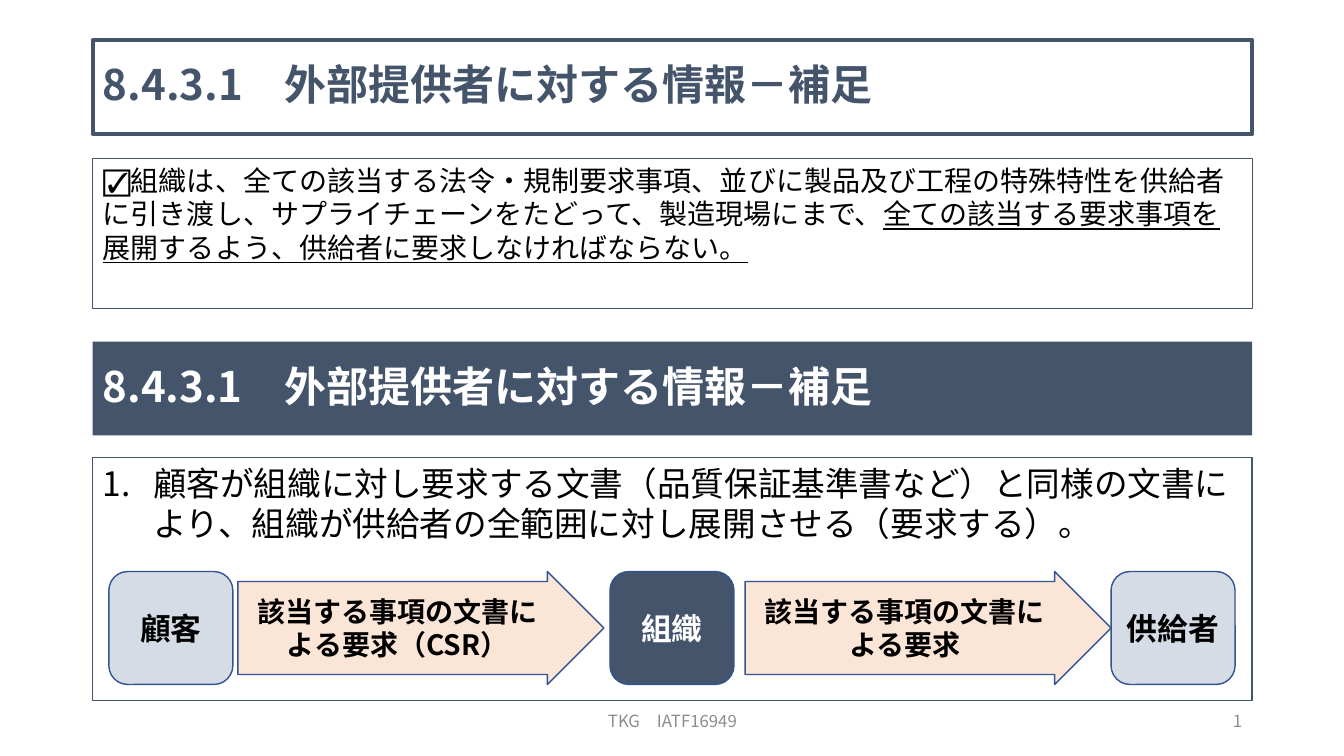
from lxml.etree import SubElement
from pptx import Presentation
from pptx.dml.color import RGBColor
from pptx.enum.shapes import MSO_SHAPE
from pptx.enum.text import MSO_ANCHOR, MSO_AUTO_SIZE, PP_ALIGN
from pptx.oxml.ns import qn
from pptx.util import Inches, Pt

FONT = "Noto Sans CJK JP"
NAVY = RGBColor(0x44, 0x54, 0x6A)
BLUE = RGBColor(0x32, 0x54, 0x91)
PALE = RGBColor(0xD6, 0xDC, 0xE5)
PEACH = RGBColor(0xFB, 0xE5, 0xD6)
GRAY = RGBColor(0x8C, 0x8C, 0x8C)
WHITE = RGBColor(0xFF, 0xFF, 0xFF)
BLACK = RGBColor(0x00, 0x00, 0x00)

LEFT, WIDTH = 0.92, 11.5
HEADING_H = 0.93
FLOW_TOP, FLOW_H = 5.67, 1.12
NODE_LEFT, NODE_W, NODE_STEP = 1.08, 1.23, 4.97
ARROW_LEFT, ARROW_W, ARROW_STEP = 2.36, 3.63, 5.03
HEADING = "8.4.3.1\u3000外部提供者に対する情報－補足".replace("\u3000", "　")


def place(s, left, top, width, height):
    s.left, s.top = Inches(left), Inches(top)
    s.width, s.height = Inches(width), Inches(height)


def paint(s, fill=None, line=None, weight=1):
    if fill is None:
        s.fill.background()
    else:
        s.fill.solid()
        s.fill.fore_color.rgb = fill
    if line is None:
        s.line.fill.background()
    else:
        s.line.color.rgb = line
        s.line.width = Pt(weight)


def add_box(slide, kind, at, fill=None, line=None):
    s = slide.shapes.add_shape(kind, *map(Inches, at))
    s.shadow.inherit = False
    paint(s, fill, line)
    return s


def write(s, parts, size, color, bold=False, align=PP_ALIGN.LEFT,
          anchor=MSO_ANCHOR.MIDDLE, spacing=None):
    tf = s.text_frame
    tf.word_wrap = True
    tf.auto_size = MSO_AUTO_SIZE.NONE
    tf.vertical_anchor = anchor
    p = tf.paragraphs[0]
    p.alignment = align
    p.space_before = Pt(0)
    if spacing:
        p.line_spacing = spacing
    for text in parts:
        r = p.add_run()
        r.text = text
        r.font.size = Pt(size)
        r.font.bold = bold
        r.font.color.rgb = color
        r.font.name = FONT
        SubElement(r.font._element, qn("a:ea")).set("typeface", FONT)
    return p


def set_list(p, indent, numbered):
    pPr = p._p.get_or_add_pPr()
    pPr.set("marL", str(Inches(indent)))
    pPr.set("indent", str(-Inches(indent)))
    if numbered:
        SubElement(pPr, qn("a:buFont")).set("typeface", FONT)
        SubElement(pPr, qn("a:buAutoNum")).set("type", "arabicPeriod")
    else:
        SubElement(pPr, qn("a:buNone"))


def add_heading(s, color):
    write(s, [HEADING], 30, color, bold=True, spacing=0.9)


def add_footer(slide, left, width, text, align):
    s = slide.shapes.add_textbox(*map(Inches, (left, 6.95, width, 0.4)))
    write(s, [text], 12, GRAY, align=align)


def add_flow(slide):
    nodes = [("顧客", PALE, BLACK), ("組織", NAVY, WHITE), ("供給者", PALE, BLACK)]
    for i, (text, fill, color) in enumerate(nodes):
        at = NODE_LEFT + i * NODE_STEP, FLOW_TOP, NODE_W, FLOW_H
        s = add_box(slide, MSO_SHAPE.ROUNDED_RECTANGLE, at, fill, BLUE)
        write(s, [text], 22, color, bold=True, align=PP_ALIGN.CENTER)
    arrows = ["該当する事項の文書による要求（CSR）", "該当する事項の文書による要求"]
    for i, text in enumerate(arrows):
        at = ARROW_LEFT + i * ARROW_STEP, FLOW_TOP, ARROW_W, FLOW_H
        s = add_box(slide, MSO_SHAPE.RIGHT_ARROW, at, PEACH, BLUE)
        s.adjustments[0] = 0.823
        write(s, [text], 20, BLACK, bold=True, align=PP_ALIGN.CENTER)


def main():
    prs = Presentation()
    prs.slide_width, prs.slide_height = Inches(13.33), Inches(7.5)
    slide = prs.slides.add_slide(prs.slide_layouts[1])

    title, body = slide.placeholders
    place(title, LEFT, 0.4, WIDTH, HEADING_H)
    paint(title, WHITE, NAVY, 3)
    add_heading(title, NAVY)

    place(body, LEFT, 1.57, WIDTH, 1.49)
    paint(body, line=NAVY)
    p = write(body, [
        "☑組織は、全ての該当する法令・規制要求事項、並びに製品及び工程の特殊特性を供給者"
        "に引き渡し、サプライチェーンをたどって、製造現場にまで、",
        "全ての該当する要求事項を展開するよう、供給者に要求しなければならない。",
    ], 20, BLACK, anchor=MSO_ANCHOR.TOP)
    p.runs[1].font.underline = True
    set_list(p, 0, False)

    bar = add_box(slide, MSO_SHAPE.RECTANGLE, (LEFT, 3.39, WIDTH, HEADING_H), NAVY)
    add_heading(bar, WHITE)

    panel = add_box(slide, MSO_SHAPE.RECTANGLE, (LEFT, 4.54, WIDTH, 2.41), line=NAVY)
    p = write(panel, [
        "顧客が組織に対し要求する文書（品質保証基準書など）と同様の文書により、"
        "組織が供給者の全範囲に対し展開させる（要求する）。",
    ], 24, BLACK, anchor=MSO_ANCHOR.TOP)
    set_list(p, 0.5, True)

    add_flow(slide)
    add_footer(slide, 4.42, 4.5, "TKG　IATF16949", PP_ALIGN.CENTER)
    add_footer(slide, 9.42, 3, "1", PP_ALIGN.RIGHT)
    prs.save("out.pptx")


if __name__ == "__main__":
    main()
